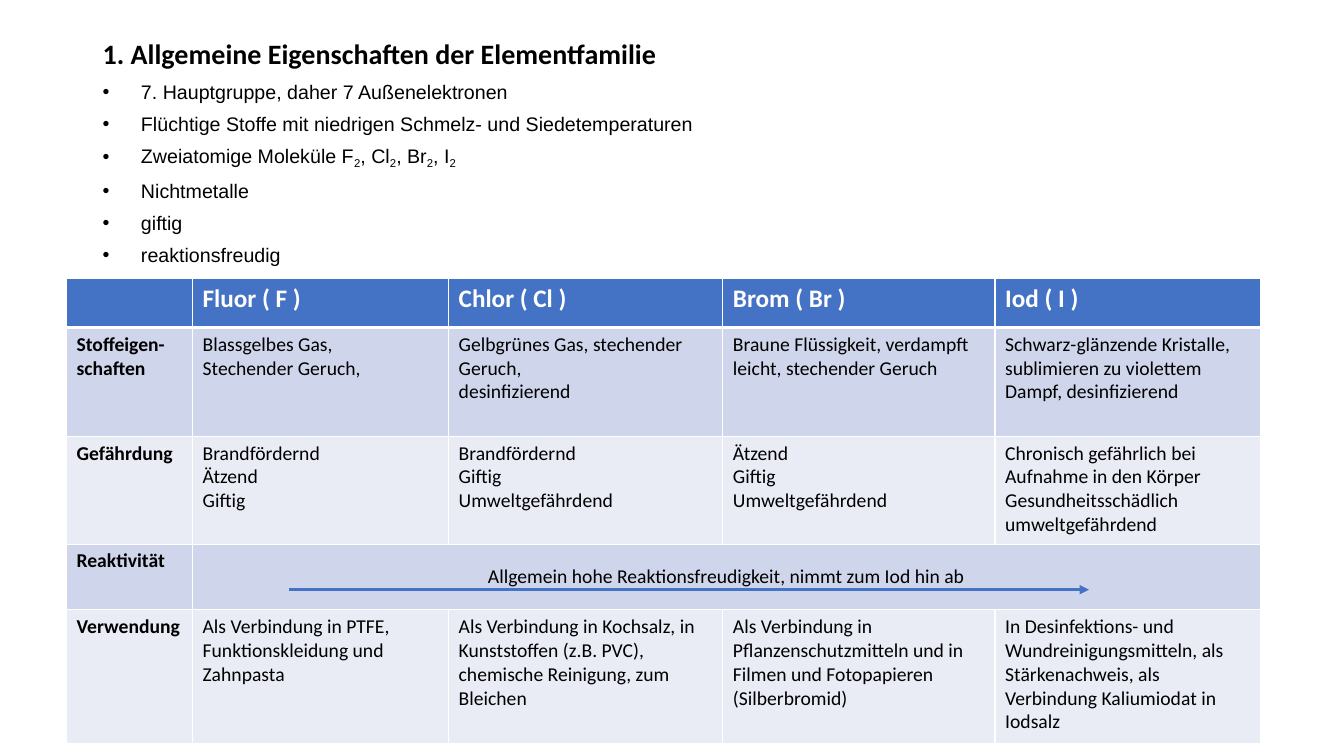
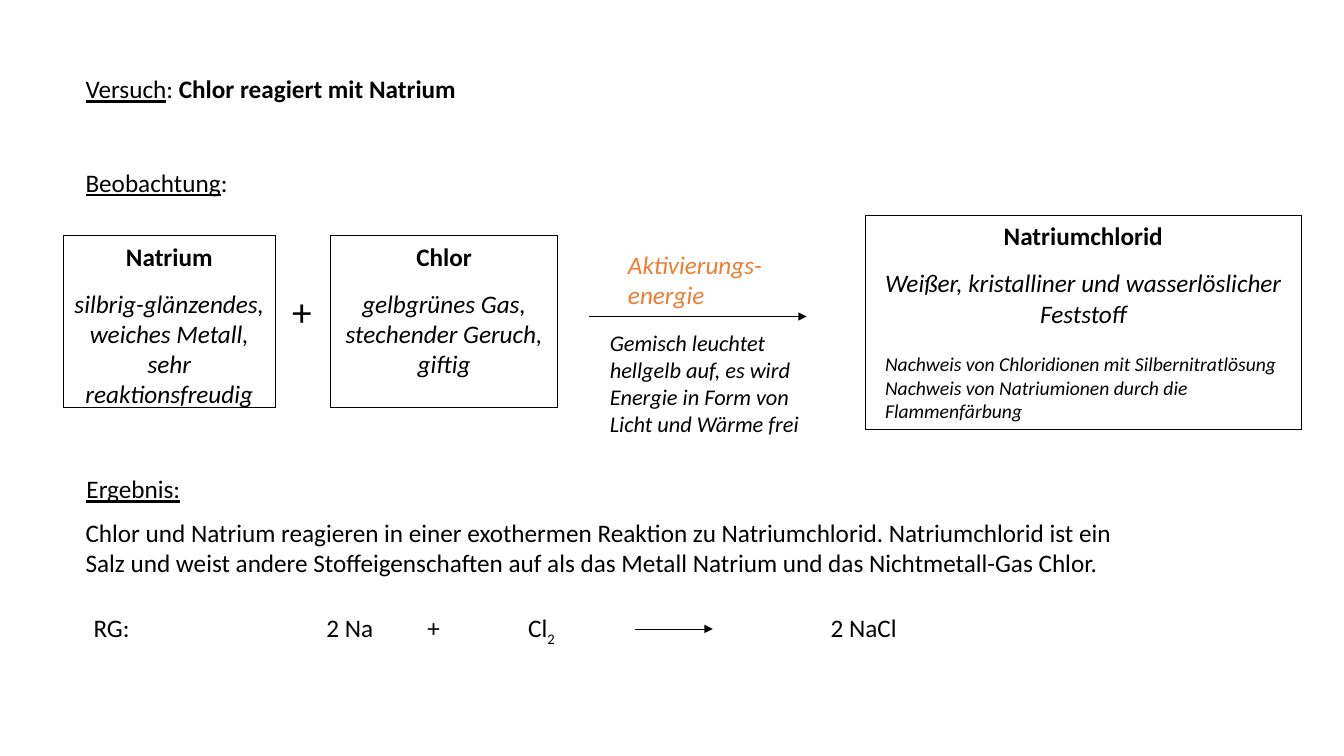
from dataclasses import dataclass

from lxml import etree
from pptx import Presentation
from pptx.dml.color import RGBColor
from pptx.enum.shapes import MSO_CONNECTOR as CONN, MSO_SHAPE as SHAPE
from pptx.enum.text import MSO_ANCHOR as ANCHOR, PP_ALIGN as ALIGN
from pptx.oxml.ns import qn
from pptx.util import Inches, Pt

BLACK, WHITE, BLUE, ORANGE = "000000", "FFFFFF", "4472C4", "ED7D31"
BANDS = ("CFD5EA", "E9EBF5")


def rgb(value):
    return RGBColor.from_string(value)


def add_xml(parent, tag, **attrs):
    return etree.SubElement(parent, qn(tag), {k: str(v) for k, v in attrs.items()})


@dataclass
class Para:
    """One paragraph; each run is (text, flags), flags from b, i, u and s (subscript)."""
    runs: list
    size: float = 18
    color: str = BLACK
    font: str = "Calibri"
    align: ALIGN = ALIGN.LEFT
    before: float = 0
    after: float = 0
    left: float = 0
    bullet: bool = False
    tabs: tuple = ()


class Deck:
    def __init__(self):
        self.prs = Presentation()
        self.prs.slide_width, self.prs.slide_height = Inches(13.33), Inches(7.5)
        self.s = None

    def slide(self):
        self.s = self.prs.slides.add_slide(self.prs.slide_layouts[6])

    def fill_text(self, tf, paras):
        tf.word_wrap = True
        for n, para in enumerate(paras):
            p = tf.add_paragraph() if n else tf.paragraphs[0]
            p.alignment = para.align
            p.space_before, p.space_after = Pt(para.before), Pt(para.after)
            pPr = p._p.get_or_add_pPr()
            if para.left:
                pPr.set("marL", str(Inches(para.left)))
            if para.bullet:
                pPr.set("indent", str(-Inches(para.left)))
                add_xml(pPr, "a:buFont", typeface="Arial")
                add_xml(pPr, "a:buChar", char="•")
            if para.tabs:
                stops = add_xml(pPr, "a:tabLst")
                for pos in para.tabs:
                    add_xml(stops, "a:tab", pos=Inches(pos), algn="l")
            for text, flags in para.runs:
                r = p.add_run()
                r.text = text
                r.font.name, r.font.size = para.font, Pt(para.size)
                r.font.color.rgb = rgb(para.color)
                r.font.bold, r.font.italic = "b" in flags, "i" in flags
                r.font.underline = "u" in flags
                if "s" in flags:
                    r._r.get_or_add_rPr().set("baseline", "-25000")

    def text(self, x, y, w, h, *paras):
        sp = self.s.shapes.add_textbox(Inches(x), Inches(y), Inches(w), Inches(h))
        self.fill_text(sp.text_frame, paras)

    def box(self, x, y, w, h, *paras, outline=True):
        sp = self.s.shapes.add_shape(
            SHAPE.RECTANGLE, Inches(x), Inches(y), Inches(w), Inches(h))
        sp.shadow.inherit = False
        sp.fill.solid()
        sp.fill.fore_color.rgb = rgb(WHITE)
        if outline:
            sp.line.color.rgb, sp.line.width = rgb(BLACK), Pt(0.75)
        else:
            sp.line.fill.background()
        sp.text_frame.vertical_anchor = ANCHOR.TOP
        self.fill_text(sp.text_frame, paras)

    def arrow(self, x1, x2, y, color=BLACK, width=0.75):
        line = self.s.shapes.add_connector(
            CONN.STRAIGHT, Inches(x1), Inches(y), Inches(x2), Inches(y))
        line.line.color.rgb, line.line.width = rgb(color), Pt(width)
        spPr = line._element.spPr
        add_xml(spPr.get_or_add_ln(), "a:tailEnd", type="triangle")
        add_xml(spPr, "a:effectLst")

    def cell(self, cell, paras, fill, bottom=1):
        tcPr = cell._tc.get_or_add_tcPr()
        for side, width in zip("LRTB", (1, 1, 1, bottom)):
            ln = add_xml(tcPr, f"a:ln{side}", w=Pt(width))
            add_xml(add_xml(ln, "a:solidFill"), "a:srgbClr", val=WHITE)
        cell.fill.solid()
        cell.fill.fore_color.rgb = rgb(fill)
        self.fill_text(cell.text_frame, paras)

    def table(self, x, y, widths, heights, rows):
        """First row is the header; a row of two texts spans its second one."""
        table = self.s.shapes.add_table(
            len(heights), len(widths), Inches(x), Inches(y),
            Inches(sum(widths)), Inches(sum(heights))).table
        table.first_row = table.horz_banding = False
        for col, w in zip(table.columns, widths):
            col.width = Inches(w)
        for n, (row, h, texts) in enumerate(zip(table.rows, heights, rows)):
            row.height = Inches(h)
            spans = len(texts) == 2
            if spans:
                table.cell(n, 1).merge(table.cell(n, len(widths) - 1))
                table.cell(n, 1).vertical_anchor = ANCHOR.MIDDLE
            for c, text in enumerate(texts):
                bold = "b" if n == 0 or c == 0 else ""
                size, color = (14, BLACK) if n else (18, WHITE)
                align = ALIGN.CENTER if spans and c else ALIGN.LEFT
                paras = [Para([(t, bold)], size, color, align=align)
                         for t in text.splitlines()]
                fill = BANDS[(n - 1) % 2] if n else BLUE
                self.cell(table.cell(n, c), paras, fill, bottom=1 if n else 3)


def properties_slide(d):
    d.slide()
    # Title and bullet list
    d.text(0.92, 0.31, 7.79, 0.44,
           Para([("1. Allgemeine Eigenschaften der Elementfamilie", "b")], 20))
    molecules = [("Zweiatomige Moleküle F", ""), ("2", "s"), (", Cl", ""), ("2", "s"),
                 (", Br", ""), ("2", "s"), (", I", ""), ("2", "s")]
    bullets = [
        [("7. Hauptgruppe, daher 7 Außenelektronen", "")],
        [("Flüchtige Stoffe mit niedrigen Schmelz- und Siedetemperaturen", "")],
        molecules,
        [("Nichtmetalle", "")],
        [("giftig", "")],
        [("reaktionsfreudig", "")],
    ]
    d.text(0.92, 0.74, 9.75, 1.94,
           *[Para(runs, 14, font="Arial", after=6, left=0.38, bullet=True)
             for runs in bullets])

    # Comparison of the halogens
    d.table(0.66, 2.76, (1.25, 2.54, 2.72, 2.7, 2.63), (0.49, 1.08, 1.07, 0.65, 1.33), [
        ["", "Fluor ( F )", "Chlor ( Cl )", "Brom ( Br )", "Iod ( I )"],
        ["Stoffeigen-schaften",
         "Blassgelbes Gas,\nStechender Geruch,",
         "Gelbgrünes Gas, stechender Geruch,\ndesinfizierend",
         "Braune Flüssigkeit, verdampft leicht, stechender Geruch",
         "Schwarz-glänzende Kristalle, sublimieren zu violettem Dampf, desinfizierend"],
        ["Gefährdung",
         "Brandfördernd\nÄtzend\nGiftig",
         "Brandfördernd\nGiftig\nUmweltgefährdend",
         "Ätzend\nGiftig\nUmweltgefährdend",
         "Chronisch gefährlich bei Aufnahme in den Körper\n"
         "Gesundheitsschädlich\numweltgefährdend"],
        ["Reaktivität", "Allgemein hohe Reaktionsfreudigkeit, nimmt zum Iod hin ab"],
        ["Verwendung",
         "Als Verbindung in PTFE, Funktionskleidung und Zahnpasta",
         "Als Verbindung in Kochsalz, in Kunststoffen (z.B. PVC), "
         "chemische Reinigung, zum Bleichen",
         "Als Verbindung in Pflanzenschutzmitteln und in Filmen und "
         "Fotopapieren (Silberbromid)",
         "In Desinfektions- und Wundreinigungsmitteln, als Stärkenachweis, "
         "als Verbindung Kaliumiodat in Iodsalz"],
    ])
    d.arrow(2.87, 10.8, 5.85, BLUE, 2.25)


def experiment_slide(d):
    d.slide()
    # Headings
    d.text(0.75, 0.68, 6.83, 0.4,
           Para([("Versuch", "u"), (": ", ""), ("Chlor reagiert mit Natrium", "b")]))
    d.text(0.75, 1.61, 1.8, 0.4, Para([("Beobachtung", "u"), (":", "")]))
    d.text(0.76, 4.65, 1.4, 0.4, Para([("Ergebnis:", "u")]))

    # Substances
    def substance(name, description):
        return (Para([(name, "b")], align=ALIGN.CENTER, after=12),
                Para([(description, "i")], align=ALIGN.CENTER))

    d.box(0.63, 2.34, 2.1, 1.7, *substance(
        "Natrium", "silbrig-glänzendes, weiches Metall, sehr reaktionsfreudig"))
    d.text(2.8, 2.8, 0.43, 0.57, Para([("+", "")], 28))
    d.box(3.28, 2.34, 2.25, 1.7, *substance(
        "Chlor", "gelbgrünes Gas, stechender Geruch, giftig"))
    d.box(8.58, 2.14, 4.33, 2.12,
          *substance("Natriumchlorid",
                     "Weißer, kristalliner und wasserlöslicher Feststoff"),
          Para([("Nachweis von Chloridionen mit Silbernitratlösung", "i")],
               14, before=17, left=0.1),
          Para([("Nachweis von Natriumionen durch die Flammenfärbung", "i")],
               14, left=0.1))

    # Reaction arrow with its labels
    d.box(6.13, 2.42, 1.58, 0.7, Para([("Aktivierungs-energie", "i")], color=ORANGE),
          outline=False)
    d.box(5.95, 3.22, 2.25, 1.25,
          Para([("Gemisch leuchtet hellgelb auf, es wird Energie in Form von "
                 "Licht und Wärme frei", "i")], 16), outline=False)
    d.arrow(5.84, 8, 3.14)

    # Result and equation
    d.text(0.75, 5.08, 10.41, 0.71, Para([(
        "Chlor und Natrium reagieren in einer exothermen Reaktion zu Natriumchlorid. "
        "Natriumchlorid ist ein Salz und weist andere Stoffeigenschaften auf als das "
        "Metall Natrium und das Nichtmetall-Gas Chlor.", "")]))
    d.text(0.83, 6.03, 1.7, 0.4, Para([("RG:", "")]))
    d.text(3.14, 6.03, 6.6, 0.4,
           Para([("2 Na\t+\tCl", ""), ("2", "s"), ("\t2 NaCl", "")], tabs=(1, 2, 5)))
    d.arrow(6.3, 7.07, 6.24, width=0.5)


def main():
    d = Deck()
    properties_slide(d)
    experiment_slide(d)
    d.prs.save("out.pptx")


if __name__ == "__main__":
    main()
